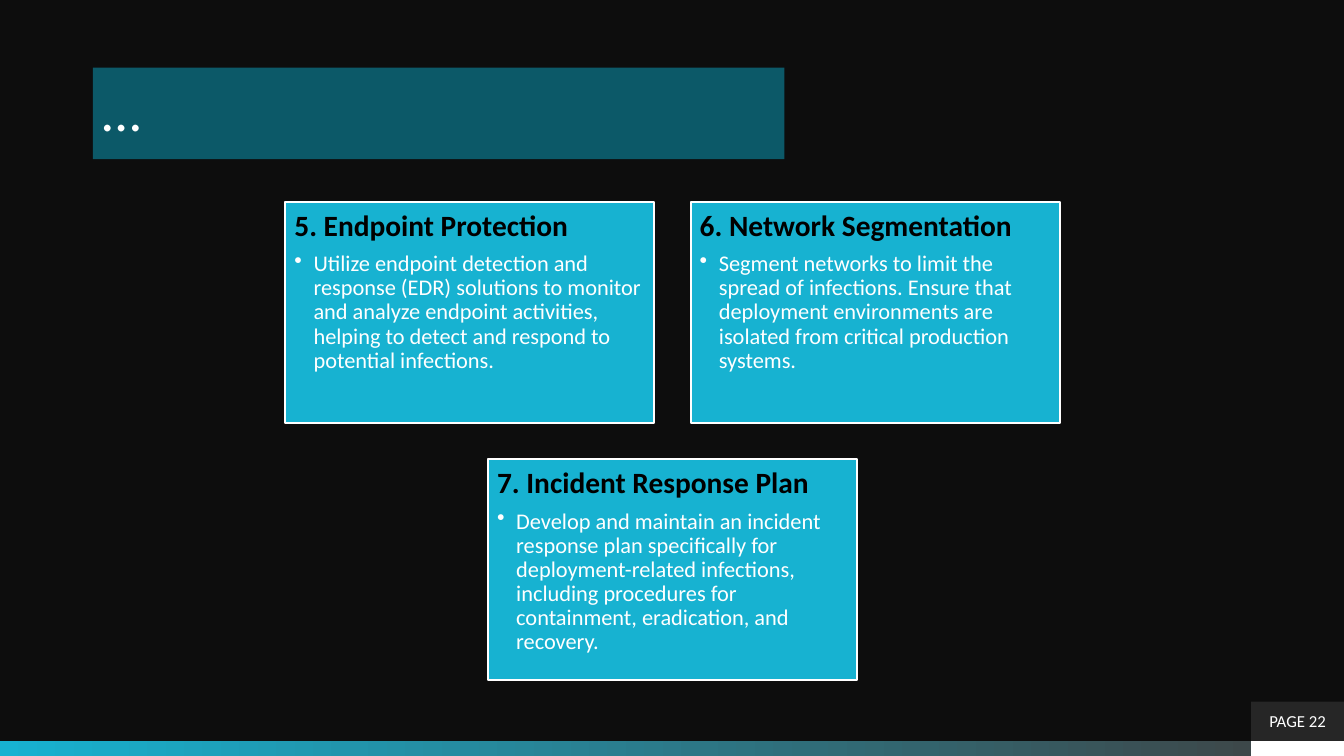
from lxml.etree import SubElement
from pptx import Presentation
from pptx.dml.color import RGBColor
from pptx.enum.shapes import MSO_SHAPE
from pptx.enum.text import MSO_ANCHOR, MSO_AUTO_SIZE, PP_ALIGN
from pptx.oxml.ns import qn
from pptx.util import Inches, Pt

SLIDE_W, SLIDE_H = 13.33, 7.5
FONT = "Calibri"
COLORS = {
    "background": "0D0D0D",
    "title": "0C5968",
    "accent": "17B2D1",
    "fade": "404040",
    "page": "262626",
    "heading": "000000",
    "white": "FFFFFF",
}
MEASURES = [
    ("5. Endpoint Protection",
     "Utilize endpoint detection and response (EDR) solutions to monitor and analyze "
     "endpoint activities, helping to detect and respond to potential infections."),
    ("6. Network Segmentation",
     "Segment networks to limit the spread of infections. Ensure that deployment "
     "environments are isolated from critical production systems."),
    ("7. Incident Response Plan",
     "Develop and maintain an incident response plan specifically for "
     "deployment-related infections, including procedures for containment, "
     "eradication, and recovery."),
]


def color(name):
    return RGBColor.from_string(COLORS[name])


def add_rect(slide, box, fill):
    rect = slide.shapes.add_shape(MSO_SHAPE.RECTANGLE, *map(Inches, box))
    rect.shadow.inherit = False
    rect.fill.solid()
    rect.fill.fore_color.rgb = color(fill)
    rect.line.fill.background()
    return rect


def set_frame(frame, anchor, side, top):
    frame.word_wrap = True
    frame.auto_size = MSO_AUTO_SIZE.NONE
    frame.vertical_anchor = anchor
    frame.margin_left = frame.margin_right = Inches(side)
    frame.margin_top = frame.margin_bottom = Inches(top)


def add_text(paragraph, text, size, ink, bold=False, align=PP_ALIGN.LEFT):
    paragraph.alignment = align
    run = paragraph.add_run()
    run.text = text
    run.font.name = FONT
    run.font.size = Pt(size)
    run.font.bold = bold
    run.font.color.rgb = color(ink)


def add_bullet(paragraph, indent):
    properties = paragraph._p.get_or_add_pPr()
    properties.set("marL", str(Inches(indent)))
    properties.set("indent", str(-Inches(indent)))
    SubElement(properties, qn("a:buChar"), char="•")


def add_footer(slide, box):
    left, top, width, height = box
    tab_w, tab_h = 0.92, 0.39
    tab_left = left + width - tab_w

    # Gradient strip with a white end
    strip = add_rect(slide, box, "accent")
    strip.fill.gradient()
    strip.fill.gradient_angle = 0
    for stop, name in zip(strip.fill.gradient_stops, ("accent", "fade")):
        stop.color.rgb = color(name)
    add_rect(slide, (tab_left, top, tab_w, height), "white")

    # Page number tab
    page = add_rect(slide, (tab_left, top - tab_h, tab_w, tab_h), "page")
    set_frame(page.text_frame, MSO_ANCHOR.MIDDLE, 0.1, 0.05)
    number = page.text_frame.paragraphs[0]
    number.space_after = Pt(6)
    add_text(number, "PAGE 22", 12, "white", align=PP_ALIGN.CENTER)


def add_title(slide, box):
    title = slide.shapes.title
    title.left, title.top, title.width, title.height = map(Inches, box)
    title.fill.solid()
    title.fill.fore_color.rgb = color("title")
    set_frame(title.text_frame, MSO_ANCHOR.MIDDLE, 0.1, 0.12)
    heading = title.text_frame.paragraphs[0]
    heading.line_spacing = 0.9
    add_text(heading, "…", 40, "white")


def add_card(slide, box, heading, detail):
    card = add_rect(slide, box, "accent")
    card.line.color.rgb = color("white")
    card.line.width = Pt(1.5)
    frame = card.text_frame
    set_frame(frame, MSO_ANCHOR.TOP, 0.09, 0.09)

    head = frame.paragraphs[0]
    head.line_spacing = 0.9
    head.space_after = Pt(7)
    add_text(head, heading, 21, "heading", bold=True)

    body = frame.add_paragraph()
    body.level = 1
    add_bullet(body, 0.19)
    body.line_spacing = 0.9
    add_text(body, detail, 16, "white")


def add_cards(slide, box):
    left, top, width, height = box
    columns, gap = 2, 0.36
    card_w = (width - gap) / columns
    card_h = (height - gap) / 2
    for index, (heading, detail) in enumerate(MEASURES):
        row, column = divmod(index, columns)
        in_row = min(columns, len(MEASURES) - row * columns)
        row_w = in_row * card_w + (in_row - 1) * gap
        x = left + (width - row_w) / 2 + column * (card_w + gap)
        y = top + row * (card_h + gap)
        add_card(slide, (x, y, card_w, card_h), heading, detail)


def main():
    deck = Presentation()
    deck.slide_width, deck.slide_height = Inches(SLIDE_W), Inches(SLIDE_H)
    slide = deck.slides.add_slide(deck.slide_layouts[5])
    slide.background.fill.solid()
    slide.background.fill.fore_color.rgb = color("background")
    add_footer(slide, (0, 7.35, SLIDE_W, 0.15))
    add_title(slide, (0.92, 0.67, 6.86, 0.91))
    add_cards(slide, (2.83, 2, 7.68, 4.75))
    deck.save("out.pptx")


if __name__ == "__main__":
    main()
